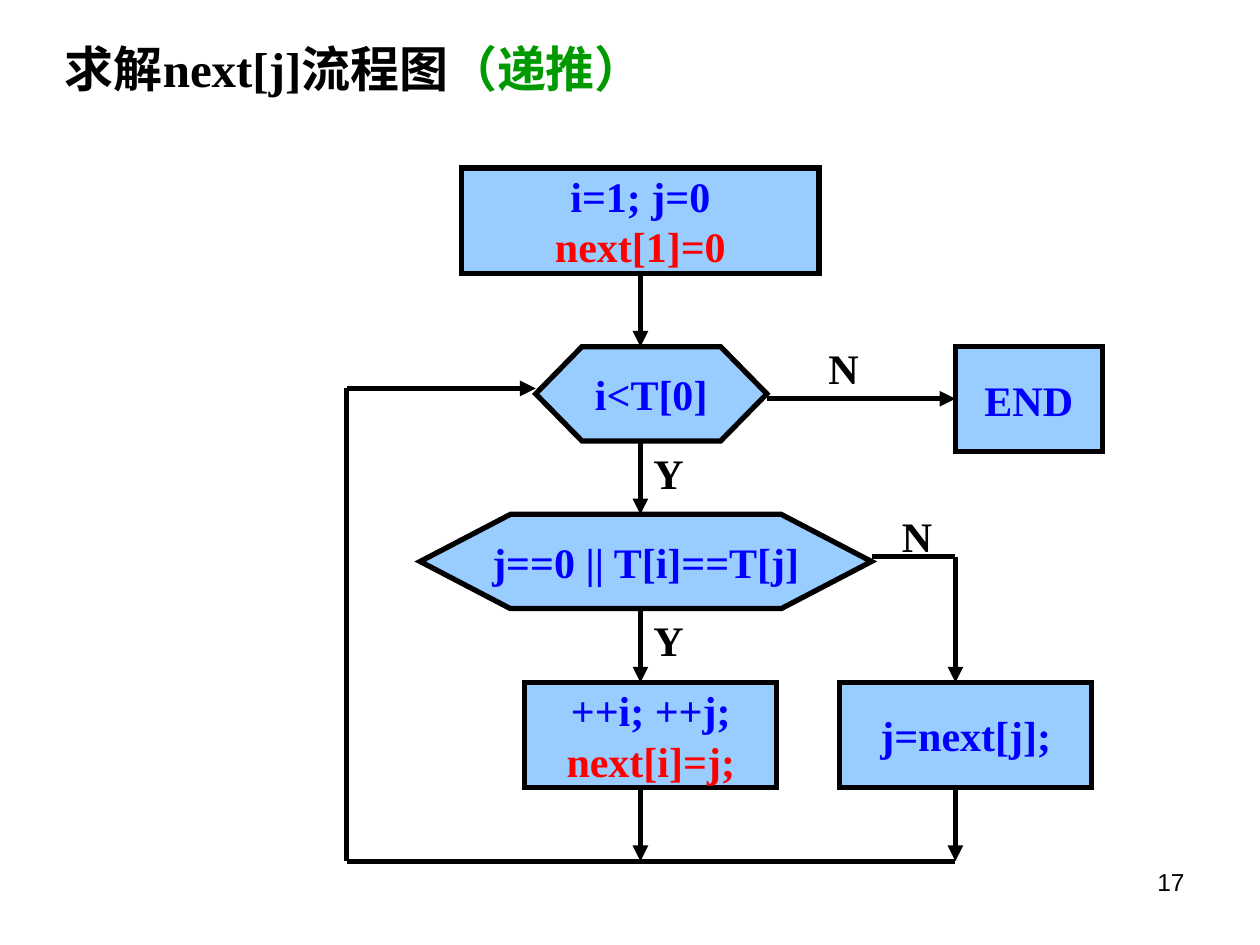
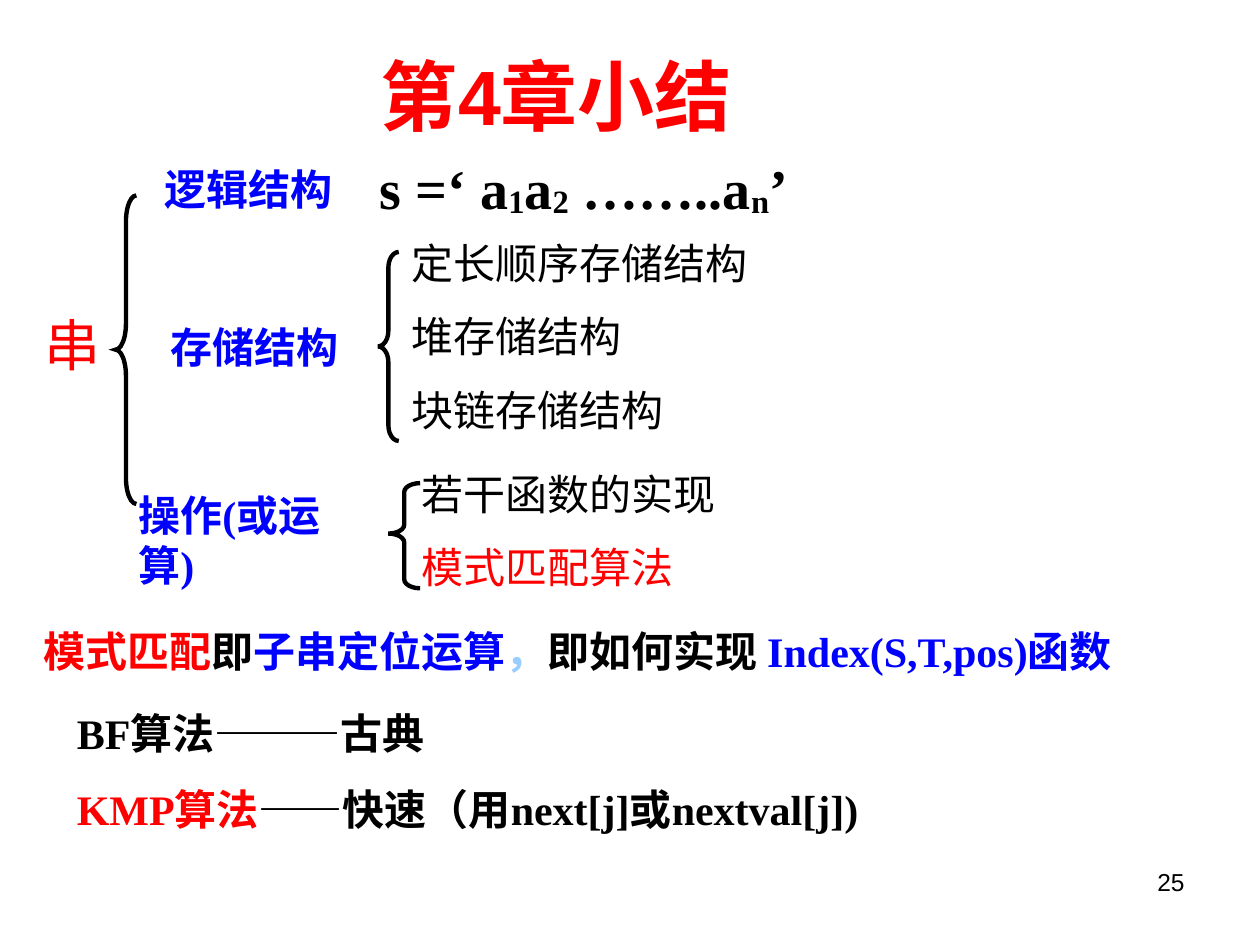
from dataclasses import dataclass
from typing import NamedTuple

from lxml import etree
from pptx import Presentation
from pptx.dml.color import RGBColor
from pptx.enum.shapes import MSO_CONNECTOR, MSO_SHAPE
from pptx.enum.text import MSO_ANCHOR, PP_ALIGN
from pptx.oxml.ns import qn
from pptx.util import Cm, Pt

PROCESS = MSO_SHAPE.FLOWCHART_PROCESS
TEST = MSO_SHAPE.FLOWCHART_PREPARATION
BRACE = MSO_SHAPE.LEFT_BRACE
STRAIGHT = MSO_CONNECTOR.STRAIGHT
LEFT, CENTER, RIGHT = PP_ALIGN.LEFT, PP_ALIGN.CENTER, PP_ALIGN.RIGHT
TOP, MIDDLE = MSO_ANCHOR.TOP, MSO_ANCHOR.MIDDLE


@dataclass(frozen=True)
class Theme:
    black: str = "000000"
    red: str = "FF0000"
    blue: str = "0000FF"
    green: str = "009900"
    sky: str = "99CCFF"
    serif: str = "Times New Roman"
    sans: str = "Arial"
    cjk: str = "Noto Sans CJK SC"
    number: int = 14
    body: int = 24
    heading: int = 28
    large: int = 32
    chapter: int = 44
    flow_line: float = 3
    brace_line: float = 2.5


THEME = Theme()


class Span(NamedTuple):
    text: str
    color: str = THEME.black
    font: str = THEME.serif
    subscript: bool = False


Lines = list[list[Span]]


class Box(NamedTuple):
    """A rectangle in centimetres."""
    x: float
    y: float
    w: float
    h: float

    @property
    def right(self) -> float:
        return self.x + self.w

    @property
    def bottom(self) -> float:
        return self.y + self.h

    def lengths(self) -> list[Cm]:
        return [Cm(v) for v in self]


class TextStyle(NamedTuple):
    size: int = THEME.body
    bold: bool = True
    align: PP_ALIGN = LEFT
    anchor: MSO_ANCHOR = TOP
    wrap: bool = False
    before: float = 0


class Label(NamedTuple):
    box: Box
    lines: Lines
    style: TextStyle = TextStyle()


class Node(NamedTuple):
    kind: MSO_SHAPE
    box: Box
    lines: Lines


class Line(NamedTuple):
    x1: float
    y1: float
    x2: float
    y2: float
    arrow: bool = True


class Brace(NamedTuple):
    box: Box
    curl: float
    tip: float = 0.5


NODE_STYLE = TextStyle(align=CENTER, anchor=MIDDLE)
PLAIN = TextStyle(bold=False)
PLAIN_WRAPPED = TextStyle(bold=False, wrap=True)
NUMBER_BOX = Box(18.2, 17.36, 5.93, 1.31)


def rgb(color: str) -> RGBColor:
    return RGBColor.from_string(color)


def write(tf, lines: Lines, style: TextStyle) -> None:
    tf.word_wrap = style.wrap
    tf.vertical_anchor = style.anchor
    for i, spans in enumerate(lines):
        p = tf.add_paragraph() if i else tf.paragraphs[0]
        p.alignment = style.align
        p.space_before = Pt(style.before)
        for span in spans:
            r = p.add_run()
            r.text = span.text
            r.font.size = Pt(style.size)
            r.font.bold = style.bold
            r.font.color.rgb = rgb(span.color)
            r.font.name = span.font
            rPr = r.font._element
            etree.SubElement(rPr, qn("a:ea"), typeface=THEME.cjk)
            if span.subscript:
                rPr.set("baseline", "-8000")


def draw_black(line, width: float) -> None:
    """Give a line its colour and width, with sharp corners."""
    line.color.rgb = rgb(THEME.black)
    line.width = Pt(width)
    etree.SubElement(line._get_or_add_ln(), qn("a:miter"), lim="800000")


def add_label(slide, label: Label) -> None:
    sp = slide.shapes.add_textbox(*label.box.lengths())
    write(sp.text_frame, label.lines, label.style)


def add_page_number(slide, number: int) -> None:
    style = TextStyle(THEME.number, False, RIGHT, wrap=True)
    add_label(slide, Label(NUMBER_BOX, [[Span(str(number), font=THEME.sans)]], style))


def add_node(slide, node: Node) -> None:
    sp = slide.shapes.add_shape(node.kind, *node.box.lengths())
    sp.shadow.inherit = False
    sp.fill.solid()
    sp.fill.fore_color.rgb = rgb(THEME.sky)
    draw_black(sp.line, THEME.flow_line)
    write(sp.text_frame, node.lines, NODE_STYLE)


def add_line(slide, line: Line) -> None:
    cx = slide.shapes.add_connector(STRAIGHT, *(Cm(v) for v in line[:4]))
    draw_black(cx.line, THEME.flow_line)
    if line.arrow:
        etree.SubElement(cx.line._get_or_add_ln(), qn("a:tailEnd"), type="triangle")
    etree.SubElement(cx._element.spPr, qn("a:effectLst"))


def add_brace(slide, brace: Brace) -> None:
    sp = slide.shapes.add_shape(BRACE, *brace.box.lengths())
    sp.shadow.inherit = False
    sp.fill.background()
    draw_black(sp.line, THEME.brace_line)
    sp.adjustments[0] = brace.curl
    sp.adjustments[1] = brace.tip


def build_flowchart(slide) -> None:
    t = THEME
    add_page_number(slide, 17)
    add_label(slide, Label(
        Box(1.06, 0.64, 16.72, 1.44),
        [[Span("求解next[j]流程图"), Span("（递推）", t.green)]],
        TextStyle(t.heading, anchor=MIDDLE, wrap=True)))

    start = Box(9.31, 3.39, 7.2, 2.12)
    loop = Box(10.8, 6.99, 4.66, 1.9)
    end = Box(19.26, 6.99, 2.96, 2.12)
    match = Box(8.47, 10.37, 9.1, 1.9)
    advance = Box(10.58, 13.76, 5.08, 2.12)
    fall_back = Box(16.93, 13.76, 5.08, 2.12)
    nodes = [
        Node(PROCESS, start, [[Span("i=1; j=0", t.blue)], [Span("next[1]=0", t.red)]]),
        Node(TEST, loop, [[Span("i<T[0]", t.blue)]]),
        Node(PROCESS, end, [[Span("END", t.blue)]]),
        Node(TEST, match, [[Span("j==0 || T[i]==T[j]", t.blue)]]),
        Node(PROCESS, advance, [[Span("++i; ++j;", t.blue)], [Span("next[i]=j;", t.red)]]),
        Node(PROCESS, fall_back, [[Span("j=next[j];", t.blue)]]),
    ]
    for node in nodes:
        add_node(slide, node)

    return_x, main_x, branch_x = 6.99, 12.91, 19.26
    loop_y, end_y, branch_y, return_y = 7.83, 8.04, 11.22, 17.36
    column = [start, loop, match, advance]
    lines = [Line(main_x, a.bottom, main_x, b.y) for a, b in zip(column, column[1:])]
    lines += [
        Line(loop.right, end_y, end.x, end_y),
        Line(match.right, branch_y, branch_x, branch_y, False),
        Line(branch_x, branch_y, branch_x, fall_back.y),
        Line(main_x, advance.bottom, main_x, return_y),
        Line(branch_x, fall_back.bottom, branch_x, return_y),
        Line(return_x, return_y, branch_x, return_y, False),
        Line(return_x, loop_y, return_x, return_y, False),
        Line(return_x, loop_y, loop.x, loop_y),
    ]
    for line in lines:
        add_line(slide, line)

    answers = [("Y", 12.92, loop.bottom), ("Y", 12.92, match.bottom),
               ("N", 16.45, 6.77), ("N", 17.93, 10.16)]
    for answer, x, y in answers:
        add_label(slide, Label(Box(x, y, 1.11, 1.27), [[Span(answer)]]))


def build_summary(slide) -> None:
    t = THEME
    add_page_number(slide, 25)
    formula = [Span("s =‘ a"), Span("1", subscript=True), Span("a"),
               Span("2", subscript=True), Span(" ……..a"),
               Span("n", subscript=True), Span("’")]
    definition = [
        Span("模式匹配", t.red, t.cjk), Span("即", t.black, t.cjk),
        Span("子串定位运算", t.blue, t.cjk), Span("，", t.sky, t.cjk),
        Span("即如何实现 "), Span("Index(S,T,pos)函数", t.blue)]
    algorithms = [
        [Span("BF算法———古典")],
        [Span("KMP算法", t.red), Span("——快速（用next[j]或nextval[j])")]]
    labels = [
        Label(Box(2.12, 0.85, 18.2, 2.12), [[Span("第4章小结", t.red, t.sans)]],
              TextStyle(t.chapter, align=CENTER, anchor=MIDDLE, wrap=True)),
        Label(Box(0.64, 6.14, 1.66, 1.63), [[Span("串", t.red)]],
              TextStyle(t.large, bold=False)),
        Label(Box(7.41, 2.97, 14.4, 1.63), [formula],
              TextStyle(t.large, wrap=True, before=20)),
        Label(Box(3.07, 3.18, 3.92, 1.27), [[Span("逻辑结构", t.blue)]]),
        Label(Box(3.19, 6.35, 3.92, 1.27), [[Span("存储结构", t.blue)]]),
        Label(Box(2.54, 9.74, 5.08, 2.29), [[Span("操作(或运算)", t.blue)]],
              TextStyle(wrap=True)),
        Label(Box(8.04, 4.66, 7.29, 1.27), [[Span("定长顺序存储结构")]], PLAIN_WRAPPED),
        Label(Box(8.04, 6.14, 4.8, 1.27), [[Span("堆存储结构")]], PLAIN_WRAPPED),
        Label(Box(8.04, 7.62, 5.64, 1.27), [[Span("块链存储结构")]], PLAIN_WRAPPED),
        Label(Box(8.25, 9.31, 6.78, 1.27), [[Span("若干函数的实现")]], PLAIN_WRAPPED),
        Label(Box(8.25, 10.8, 9.96, 1.27), [[Span("模式匹配算法", t.red)]], PLAIN_WRAPPED),
        Label(Box(0.63, 12.49, 23.92, 1.27), [definition], TextStyle(wrap=True)),
        Label(Box(1.3, 14.13, 17.91, 2.82), algorithms,
              TextStyle(wrap=True, before=15)),
    ]
    for label in labels:
        add_label(slide, label)

    braces = [
        Brace(Box(2.33, 3.94, 0.42, 6.22), 1.25),
        Brace(Box(7.62, 5.08, 0.42, 3.81), 0.75),
        Brace(Box(7.83, 9.74, 0.64, 2.12), 0.28, 0.48),
    ]
    for brace in braces:
        add_brace(slide, brace)


def main() -> None:
    prs = Presentation()
    prs.slide_width, prs.slide_height = Cm(25.4), Cm(19.05)
    blank = prs.slide_layouts[6]
    for build in (build_flowchart, build_summary):
        build(prs.slides.add_slide(blank))
    prs.save("out.pptx")


if __name__ == "__main__":
    main()
